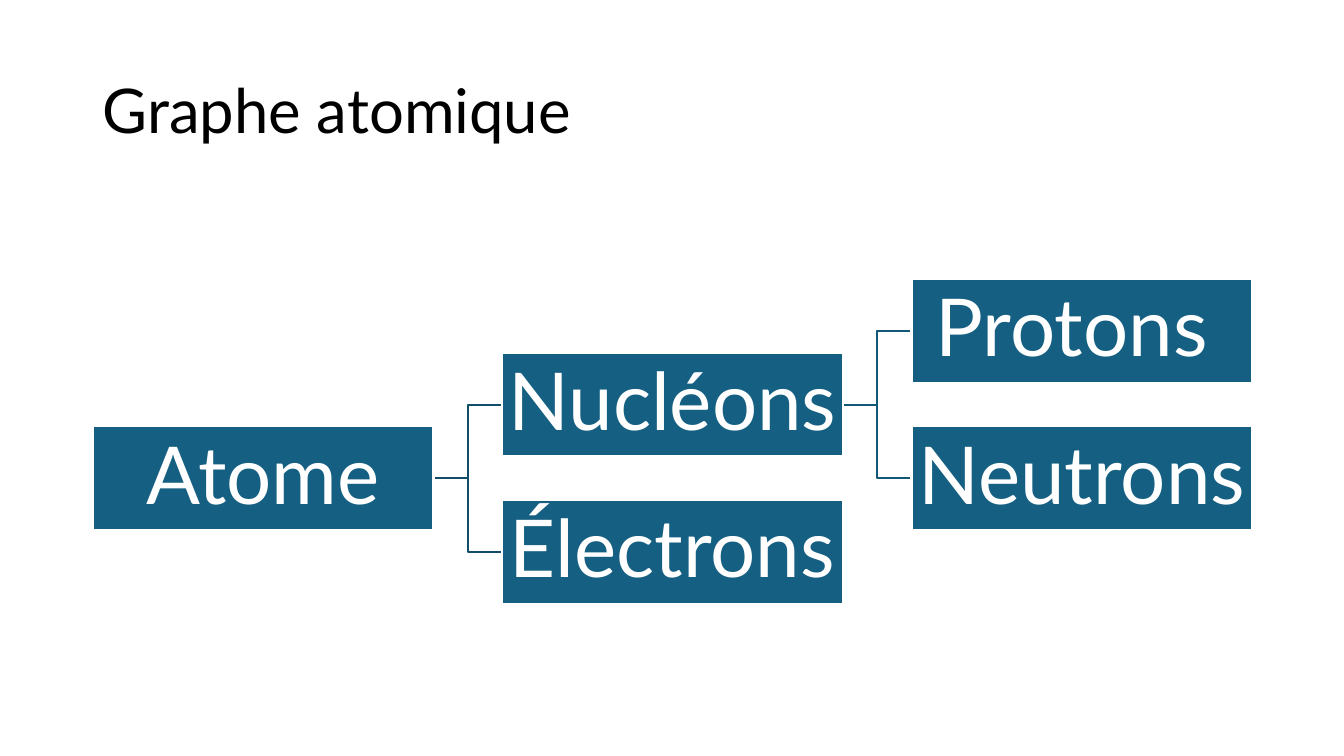
from pptx import Presentation
from pptx.dml.color import RGBColor
from pptx.enum.shapes import MSO_CONNECTOR as Connector, MSO_SHAPE as Shape
from pptx.enum.text import MSO_ANCHOR as Anchor, PP_ALIGN as Align
from pptx.oxml.ns import qn
from pptx.util import Pt
from lxml.etree import SubElement

PX = 9144
FONT = "Lato"
BLACK = RGBColor(0x00, 0x00, 0x00)
WHITE = RGBColor(0xFF, 0xFF, 0xFF)
BLUE = RGBColor(0x15, 0x60, 0x82)
FIRST_LEVEL = RGBColor(0x11, 0x4D, 0x68)
SECOND_LEVEL = RGBColor(0x13, 0x57, 0x76)

TREE_LEFT, TREE_MIDDLE = 92, 474
BOX_WIDTH, BOX_HEIGHT = 338, 103
COLUMN_STEP, HALF_ROW = 406, 73
LEFT_SITE, RIGHT_SITE = 1, 3

NODES = {
    "Atome": (0, 0),
    "Nucléons ": (1, -1),
    "Protons ": (2, -2),
    "Neutrons ": (2, 0),
    "Électrons ": (1, 1),
}
LINKS = [
    ("Atome", "Électrons ", FIRST_LEVEL),
    ("Nucléons ", "Neutrons ", SECOND_LEVEL),
    ("Nucléons ", "Protons ", SECOND_LEVEL),
    ("Atome", "Nucléons ", FIRST_LEVEL),
]


def write_text(shape, text, size, color, align):
    frame = shape.text_frame
    frame.word_wrap = True
    frame.vertical_anchor = Anchor.MIDDLE
    paragraph = frame.paragraphs[0]
    paragraph.alignment = align
    paragraph.line_spacing = 0.9
    run = paragraph.add_run()
    run.text = text
    run.font.name = FONT
    run.font.size = Pt(size)
    run.font.color.rgb = color


def add_title(slide, text):
    title = slide.shapes.add_textbox(92 * PX, 40 * PX, 1150 * PX, 145 * PX)
    write_text(title, text, 44, BLACK, Align.LEFT)


def add_node(slide, text, column, row):
    left = TREE_LEFT + column * COLUMN_STEP
    top = TREE_MIDDLE + row * HALF_ROW - BOX_HEIGHT // 2
    box = slide.shapes.add_shape(
        Shape.RECTANGLE, left * PX, top * PX, BOX_WIDTH * PX, BOX_HEIGHT * PX
    )
    box.shadow.inherit = False
    box.fill.solid()
    box.fill.fore_color.rgb = BLUE
    box.line.color.rgb = WHITE
    box.line.width = Pt(1.5)
    frame = box.text_frame
    frame.margin_left = frame.margin_right = 4 * PX
    frame.margin_top = frame.margin_bottom = 4 * PX
    write_text(box, text, 57, WHITE, Align.CENTER)
    return box


def add_link(slide, parent, child, color, front):
    link = slide.shapes.add_connector(Connector.ELBOW, 0, 0, 0, 0)
    link.begin_connect(parent, RIGHT_SITE)
    link.end_connect(child, LEFT_SITE)
    link.line.color.rgb = color
    link.line.width = Pt(1.5)
    SubElement(link._element.spPr, qn("a:effectLst"))
    front._element.addprevious(link._element)


def main():
    presentation = Presentation()
    presentation.slide_width = 1333 * PX
    presentation.slide_height = 750 * PX
    slide = presentation.slides.add_slide(presentation.slide_layouts[6])
    add_title(slide, "Graphe atomique")
    boxes = {
        text: add_node(slide, text, column, row)
        for text, (column, row) in NODES.items()
    }
    for parent, child, color in LINKS:
        add_link(slide, boxes[parent], boxes[child], color, boxes["Atome"])
    presentation.save("out.pptx")


if __name__ == "__main__":
    main()
